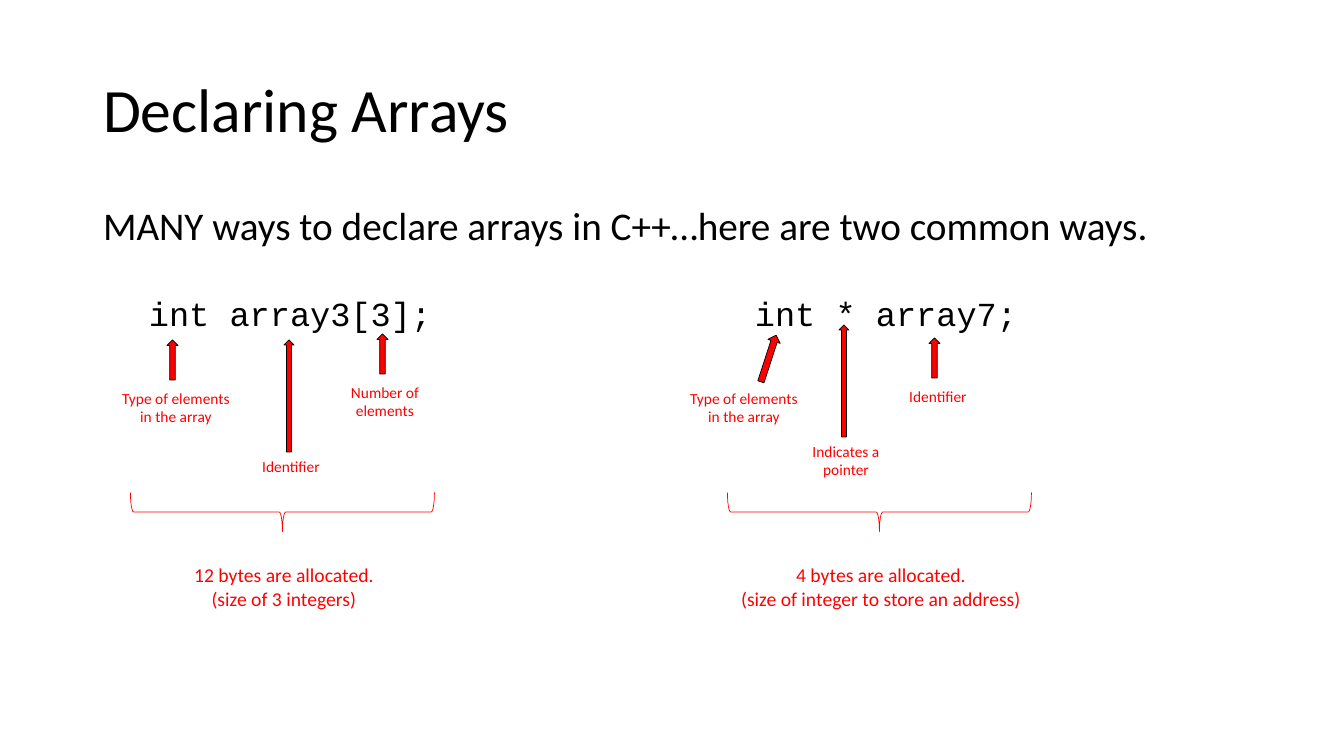
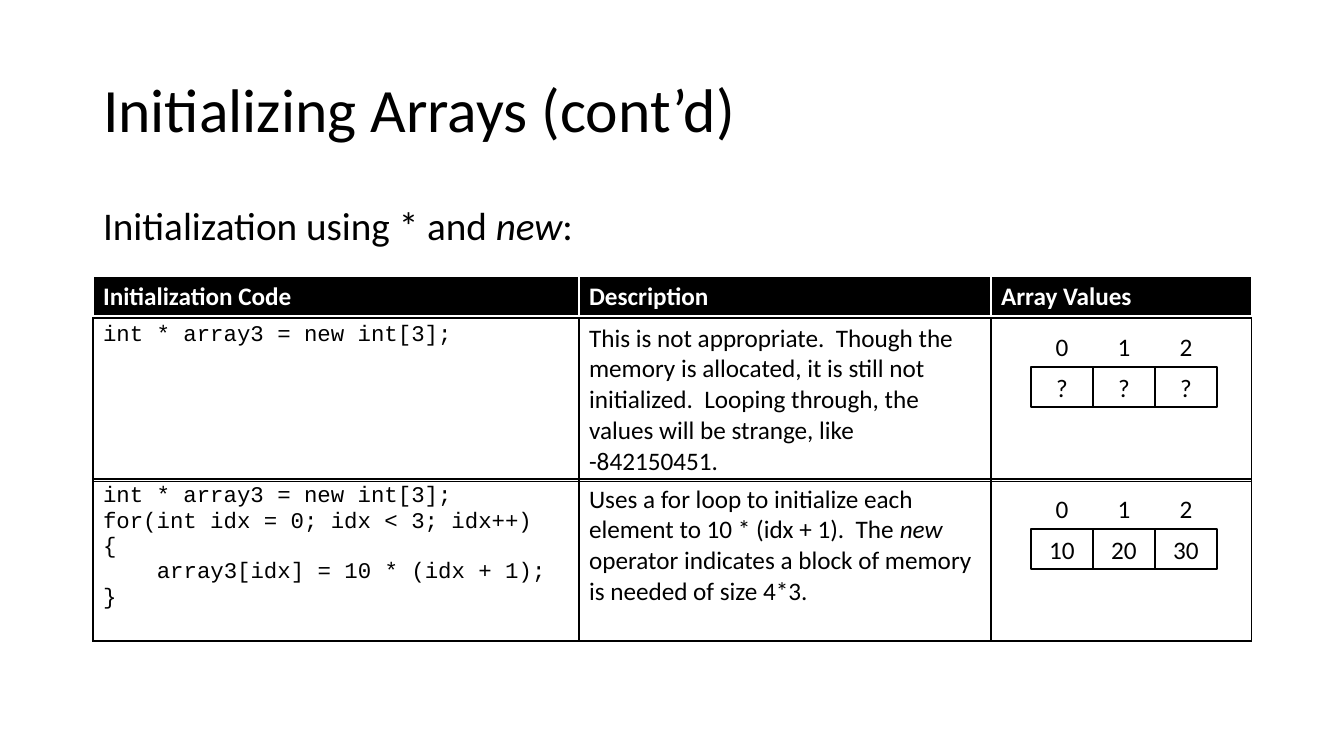
"""Build two slides on declaring and initializing arrays in C++."""
import dataclasses
import typing

import lxml.etree
import pptx
import pptx.dml.color
import pptx.enum.shapes
import pptx.enum.text
import pptx.oxml.ns
import pptx.presentation
import pptx.shapes.autoshape
import pptx.shapes.shapetree
import pptx.slide
import pptx.table
import pptx.text.text
import pptx.util

EMU_PER_PIXEL = 914400 / 100.8
BLACK, WHITE, RED = "000000", "FFFFFF", "FF0000"
ALIGN = pptx.enum.text.PP_ALIGN
ANCHOR = pptx.enum.text.MSO_ANCHOR
SHAPE = pptx.enum.shapes.MSO_SHAPE
AUTO_SIZE = pptx.enum.text.MSO_AUTO_SIZE
CONTENT_LEFT, CONTENT_WIDTH = 93, 1159
COLUMN_WIDTHS = (486, 412, 261)
CODE_INDENT = pptx.util.Pt(38.4)


class Box(typing.NamedTuple):
    """Left, top, width and height in pixels."""

    left: int
    top: int
    width: int
    height: int


@dataclasses.dataclass(frozen=True)
class TextStyle:
    """Look of a piece of text."""

    size: int
    color: str = BLACK
    font: str = "Calibri"
    bold: bool = False
    align: ALIGN = ALIGN.LEFT


@dataclasses.dataclass(frozen=True)
class Callout:
    """An arrow pointing at code, with its label."""

    text: str
    arrow: Box
    label: Box
    rotation: int = 0


@dataclasses.dataclass(frozen=True)
class Declaration:
    """An annotated line of code."""

    code: str
    code_left: int
    callouts: tuple[Callout, ...]
    summary: tuple[str, ...]
    summary_left: int


@dataclasses.dataclass(frozen=True)
class Example:
    """A table row with code, description and array values."""

    code: tuple[str, ...]
    description: tuple[str, ...]
    values: tuple[str, ...]
    top: int
    height: int
    array_top: int


TITLE = TextStyle(44)
BODY = TextStyle(28)
DECLARATION_CODE = TextStyle(24, font="Courier New")
LABEL = TextStyle(11, RED, align=ALIGN.CENTER)
SUMMARY = TextStyle(14, RED, align=ALIGN.CENTER)
HEADER = TextStyle(18, WHITE, bold=True)
CELL = TextStyle(18)
CELL_CODE = TextStyle(16, font="Courier New")
ARRAY = TextStyle(18, align=ALIGN.CENTER)

DECLARATIONS = (
    Declaration(
        "int array3[3];",
        139,
        (
            Callout("Type of elements in the array", Box(167, 340, 11, 40), Box(110, 384, 132, 47)),
            Callout("Identifier", Box(284, 340, 10, 112), Box(225, 452, 132, 29)),
            Callout("Number of elements", Box(377, 334, 11, 40), Box(319, 378, 132, 47)),
        ),
        ("12 bytes are allocated.", "(size of 3 integers)"),
        113,
    ),
    Declaration(
        "int * array7;",
        745,
        (
            Callout("Type of elements in the array", Box(762, 334, 13, 49), Box(678, 384, 132, 47), 18),
            Callout("Indicates a pointer", Box(839, 325, 10, 112), Box(780, 437, 132, 47)),
            Callout("Identifier", Box(929, 338, 11, 40), Box(872, 382, 132, 29)),
        ),
        ("4 bytes are allocated.", "(size of integer to store an address)"),
        710,
    ),
)
EXAMPLES = (
    Example(
        ("int * array3 = new int[3];",),
        (
            "This is not appropriate.  Though the memory is allocated, it is still not "
            "initialized.  Looping through, the values will be strange, like",
            "-842150451.",
        ),
        ("?", "?", "?"),
        318, 161, 367,
    ),
    Example(
        (
            "int * array3 = new int[3];",
            "for(int idx = 0; idx < 3; idx++)",
            "{",
            "\tarray3[idx] = 10 * (idx + 1);",
            "}",
        ),
        (
            "Uses a for loop to initialize each element to 10 * (idx + 1).  The _new_ "
            "operator indicates a block of memory is needed of size 4*3.",
        ),
        ("10", "20", "30"),
        479, 162, 529,
    ),
)


def pixels(length: float) -> pptx.util.Emu:
    """Turn pixels into EMU."""
    return pptx.util.Emu(round(length * EMU_PER_PIXEL))


def place(box: Box) -> tuple[pptx.util.Emu, ...]:
    """Turn a pixel box into EMU lengths."""
    return tuple(pixels(length) for length in box)


def rgb(color: str) -> pptx.dml.color.RGBColor:
    """Turn a hex string into a colour."""
    return pptx.dml.color.RGBColor.from_string(color)


def write(frame: pptx.text.text.TextFrame, lines: typing.Sequence[str], style: TextStyle) -> None:
    """Write paragraphs; underscores enclose italics and a leading tab indents."""
    frame.text = "\n".join(line.lstrip("\t") for line in lines)
    for line, paragraph in zip(lines, frame.paragraphs):
        paragraph.alignment = style.align
        if line.startswith("\t"):
            paragraph._p.get_or_add_pPr().set("marL", str(CODE_INDENT))
        first, *others = paragraph.text.split("_")
        paragraph.text = first
        for part in others:
            paragraph.add_run().text = part
        for position, run in enumerate(paragraph.runs):
            run.font.size = pptx.util.Pt(style.size)
            run.font.name = style.font
            run.font.bold = style.bold
            run.font.italic = position % 2 == 1
            run.font.color.rgb = rgb(style.color)


def add_text(shapes: pptx.shapes.shapetree._BaseGroupShapes, box: Box,
             lines: typing.Sequence[str], style: TextStyle) -> None:
    """Add a wrapping text box."""
    frame = shapes.add_textbox(*place(box)).text_frame
    frame.word_wrap = True
    frame.auto_size = AUTO_SIZE.SHAPE_TO_FIT_TEXT
    write(frame, lines, style)


def add_outlined(shapes: pptx.shapes.shapetree._BaseGroupShapes, kind: SHAPE, box: Box,
                 line: str, width: float, fill: str | None = None,
                 rotation: int = 0) -> pptx.shapes.autoshape.Shape:
    """Add a preset shape with an outline and an optional fill."""
    shape = shapes.add_shape(kind, *place(box))
    shape.shadow.inherit = False
    shape.rotation = rotation
    shape.line.color.rgb = rgb(line)
    shape.line.width = pptx.util.Pt(width)
    if fill:
        shape.fill.solid()
        shape.fill.fore_color.rgb = rgb(fill)
    else:
        shape.fill.background()
    return shape


def fill_placeholder(shape: pptx.shapes.autoshape.Shape, box: Box, text: str,
                     style: TextStyle, anchor: ANCHOR) -> None:
    """Move and format a title or body placeholder."""
    shape.left, shape.top, shape.width, shape.height = place(box)
    frame = shape.text_frame
    frame.word_wrap = True
    frame.auto_size = AUTO_SIZE.NONE
    frame.vertical_anchor = anchor
    write(frame, (text,), style)
    frame.paragraphs[0].line_spacing = 0.9


def add_slide(presentation: pptx.presentation.Presentation, title: str, body: str,
              body_height: int) -> pptx.slide.Slide:
    """Add a slide with the shared title and body style."""
    slide = presentation.slides.add_slide(presentation.slide_layouts[1])
    fill_placeholder(slide.shapes.title, Box(CONTENT_LEFT, 40, CONTENT_WIDTH, 146),
                     title, TITLE, ANCHOR.MIDDLE)
    content = slide.placeholders[1]
    fill_placeholder(content, Box(CONTENT_LEFT, 202, CONTENT_WIDTH, body_height),
                     body, BODY, ANCHOR.TOP)
    paragraph = content.text_frame.paragraphs[0]
    paragraph.space_before = pptx.util.Pt(10)
    properties = paragraph._p.get_or_add_pPr()
    properties.set("marL", "0")
    properties.set("indent", "0")
    lxml.etree.SubElement(properties, pptx.oxml.ns.qn("a:buNone"))
    return slide


def add_declaration(slide: pptx.slide.Slide, declaration: Declaration) -> None:
    """Draw a line of code with its callouts, brace and summary."""
    shapes = slide.shapes
    add_text(shapes, Box(declaration.code_left, 288, 447, 50), (declaration.code,), DECLARATION_CODE)
    for callout in declaration.callouts:
        add_outlined(shapes, SHAPE.UP_ARROW, callout.arrow, BLACK, 0.5, RED, callout.rotation)
        add_text(shapes, callout.label, (callout.text,), LABEL)
    brace = Box(declaration.summary_left + 150, 360, 39, 304)
    add_outlined(shapes, SHAPE.LEFT_BRACE, brace, RED, 0.5, rotation=270)
    add_text(shapes, Box(declaration.summary_left, 558, 342, 57), declaration.summary, SUMMARY)


def set_borders(cell: pptx.table._Cell, color: str, bottom_width: float) -> None:
    """Draw the four borders of a cell."""
    properties = cell._tc.get_or_add_tcPr()
    for side, width in (("L", 1), ("R", 1), ("T", 1), ("B", bottom_width)):
        border = lxml.etree.SubElement(properties, pptx.oxml.ns.qn(f"a:ln{side}"))
        border.set("w", str(pptx.util.Pt(width)))
        solid = lxml.etree.SubElement(border, pptx.oxml.ns.qn("a:solidFill"))
        lxml.etree.SubElement(solid, pptx.oxml.ns.qn("a:srgbClr")).set("val", color)


def add_row_table(slide: pptx.slide.Slide, top: int, height: int,
                  cells: typing.Sequence[tuple[typing.Sequence[str], TextStyle]],
                  border: str, bottom_width: float, fill: str | None = None) -> None:
    """Add a table of one row."""
    box = Box(CONTENT_LEFT, top, CONTENT_WIDTH, height)
    table = slide.shapes.add_table(1, len(COLUMN_WIDTHS), *place(box)).table
    table.first_row = table.horz_banding = False
    for column, width in zip(table.columns, COLUMN_WIDTHS):
        column.width = pixels(width)
    for cell, (lines, style) in zip(table.rows[0].cells, cells):
        set_borders(cell, border, bottom_width)
        if fill:
            cell.fill.solid()
            cell.fill.fore_color.rgb = rgb(fill)
        else:
            cell.fill.background()
        write(cell.text_frame, lines, style)


def add_array(slide: pptx.slide.Slide, top: int, values: typing.Sequence[str]) -> None:
    """Draw array values in boxes below their indexes."""
    shapes = slide.shapes.add_group_shape().shapes
    for index, value in enumerate(values):
        box = Box(1031 + 62 * index, top, 62, 40)
        shape = add_outlined(shapes, SHAPE.RECTANGLE, box, BLACK, 1, WHITE)
        shape.text_frame.vertical_anchor = ANCHOR.MIDDLE
        write(shape.text_frame, (value,), ARRAY)
        add_text(shapes, box._replace(top=top - 41), (str(index),), ARRAY)


def main() -> None:
    """Build and save the presentation."""
    presentation = pptx.Presentation()
    presentation.slide_width, presentation.slide_height = pixels(1344), pixels(756)
    slide = add_slide(presentation, "Declaring Arrays",
                      "MANY ways to declare arrays in C++…here are two common ways.", 73)
    for declaration in DECLARATIONS:
        add_declaration(slide, declaration)
    slide = add_slide(presentation, "Initializing Arrays (cont’d)",
                      "Initialization using * and _new_:", 480)
    headers = ("Initialization Code", "Description", "Array Values")
    add_row_table(slide, 276, 41, [((header,), HEADER) for header in headers], WHITE, 3, BLACK)
    for example in EXAMPLES:
        cells = ((example.code, CELL_CODE), (example.description, CELL), ((), CELL))
        add_row_table(slide, example.top, example.height, cells, BLACK, 1)
        add_array(slide, example.array_top, example.values)
    presentation.save("out.pptx")


main()
